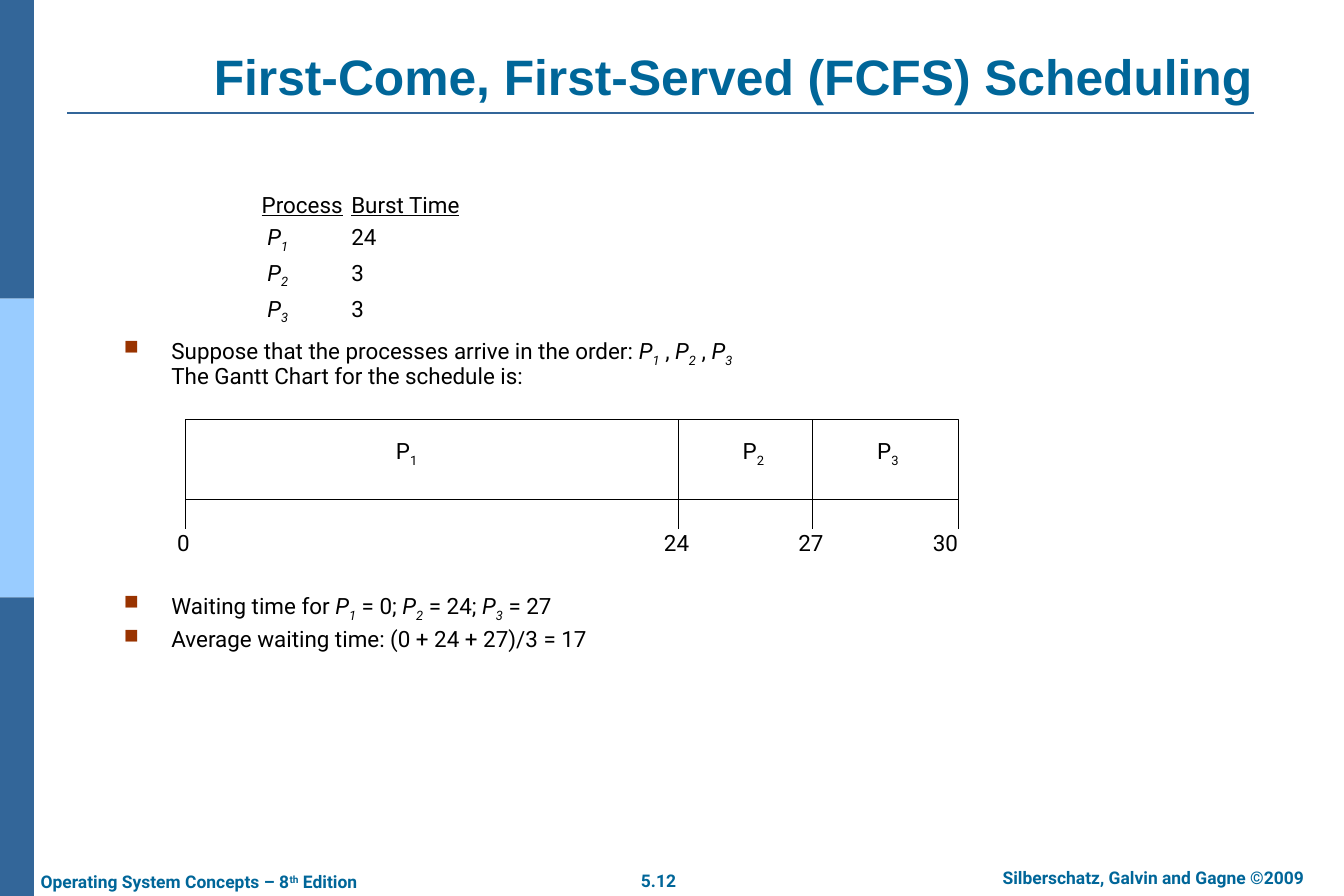
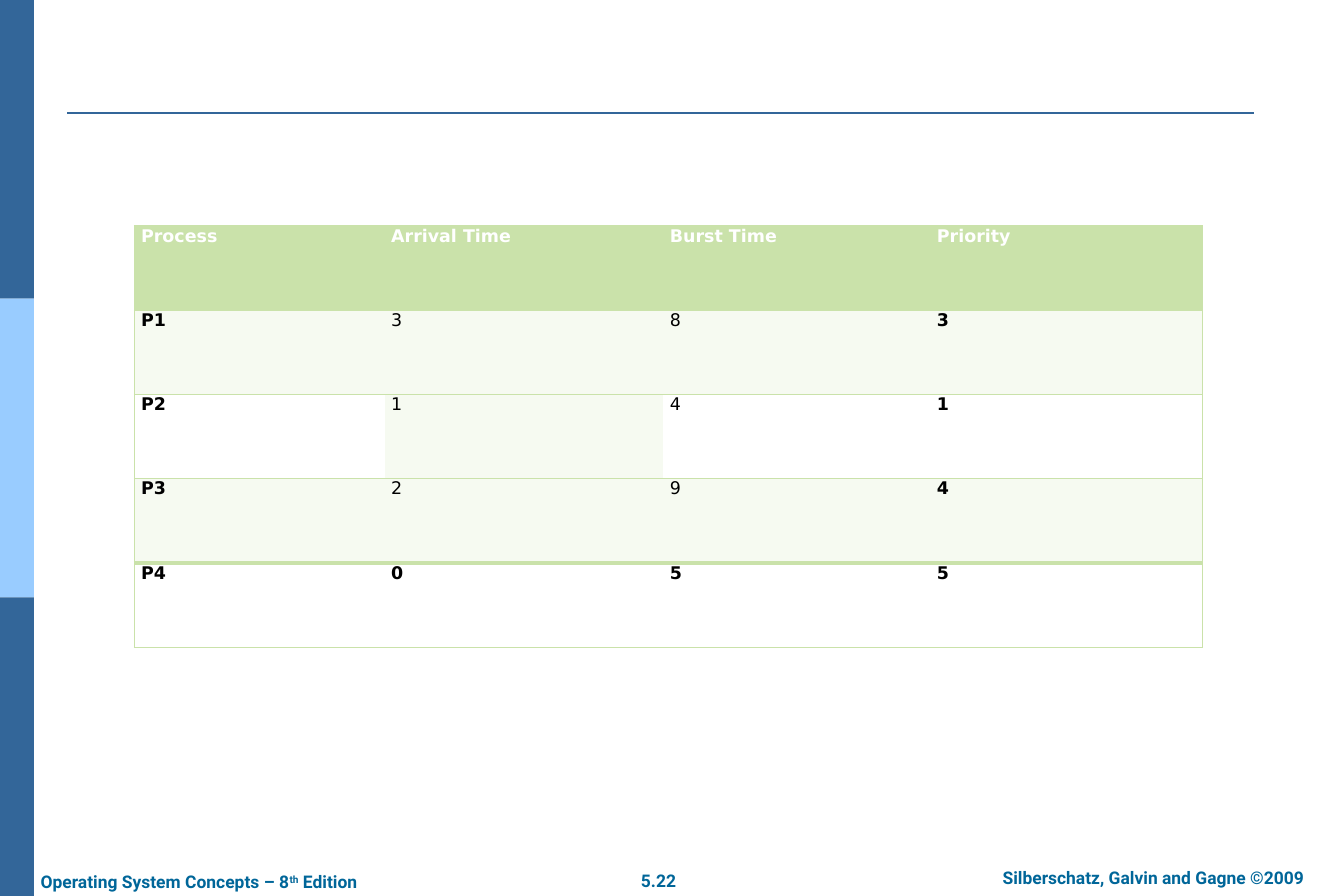
from dataclasses import dataclass
from typing import Optional, Sequence

from lxml import etree
from pptx import Presentation
from pptx.dml.color import RGBColor
from pptx.enum.shapes import MSO_CONNECTOR, MSO_SHAPE
from pptx.enum.text import MSO_ANCHOR, PP_ALIGN
from pptx.oxml.ns import qn
from pptx.util import Cm, Pt

STRAIGHT = MSO_CONNECTOR.STRAIGHT
RECTANGLE = MSO_SHAPE.RECTANGLE
TOP, MIDDLE, BOTTOM = MSO_ANCHOR.TOP, MSO_ANCHOR.MIDDLE, MSO_ANCHOR.BOTTOM
LEFT, CENTER, JUSTIFY = PP_ALIGN.LEFT, PP_ALIGN.CENTER, PP_ALIGN.JUSTIFY


@dataclass(frozen=True)
class Theme:
    heading: str = "006699"
    band: str = "336699"
    band_light: str = "99CCFF"
    bullet: str = "993300"
    black: str = "000000"
    white: str = "FFFFFF"
    table_green: str = "CAE2AA"
    table_tint: str = "F6FAF1"
    title_font: str = "Arial"
    body_font: str = "Roboto"
    table_font: str = "DejaVu Sans"
    title_size: int = 40
    body_size: int = 18
    small_size: int = 14


THEME = Theme()
SLIDE_WIDTH, SLIDE_HEIGHT = 38.1, 25.4


@dataclass(frozen=True)
class Style:
    font: str = THEME.body_font
    size: int = THEME.body_size
    color: str = THEME.black
    bold: bool = False


@dataclass(frozen=True)
class Span:
    text: str
    italic: bool = False
    underline: bool = False
    baseline: int = 0


@dataclass(frozen=True)
class Box:
    left: float
    top: float
    width: float
    height: float


@dataclass(frozen=True)
class Slot:
    """One process in the Gantt chart and the middle of its label."""
    process: int
    label_x: float


@dataclass(frozen=True)
class Mark:
    """One moment on the Gantt chart's time axis."""
    time: int
    x: float
    label_x: float


BODY = Style()
TITLE = Style(THEME.title_font, THEME.title_size, THEME.heading, True)
FOOTER = Style(size=THEME.small_size, color=THEME.heading, bold=True)

SLOTS = [Slot(1, 11.53), Slot(2, 21.36), Slot(3, 25.17)]
MARKS = [Mark(0, 5.26, 5.2), Mark(24, 19.23, 19.18),
         Mark(27, 23.04, 22.99), Mark(30, 27.18, 26.8)]
BURST_TIMES = {1: 24, 2: 3, 3: 3}

COLUMN_WIDTHS = [7.09, 7.9, 7.57, 7.72]
ROW_HEIGHT = 2.39
PROCESS_ROWS = [
    ["Process", "Arrival Time", "Burst Time", "Priority"],
    ["P1", "3", "8", "3"],
    ["P2", "1", "4", "1"],
    ["P3", "2", "9", "4"],
    ["P4", "0", "5", "5"],
]


# Text helpers
def add_spans(paragraph, spans: Sequence[Span], style: Style) -> None:
    for span in spans:
        if span.text == "\n":
            paragraph.add_line_break()
            continue
        run = paragraph.add_run()
        run.text = span.text
        font = run.font
        font.name, font.size, font.bold = style.font, Pt(style.size), style.bold
        font.color.rgb = RGBColor.from_string(style.color)
        font.italic, font.underline = span.italic, span.underline
        if span.baseline:
            run._r.get_or_add_rPr().set("baseline", str(span.baseline))


def set_frame(frame, inset_x: float, inset_y: float, anchor, wrap: bool) -> None:
    frame.margin_left = frame.margin_right = Cm(inset_x)
    frame.margin_top = frame.margin_bottom = Cm(inset_y)
    frame.vertical_anchor, frame.word_wrap = anchor, wrap


def add_text(slide, box: Box, paragraphs: Sequence[Sequence[Span]], style: Style = BODY,
             align=LEFT, inset: tuple[float, float] = (0, 0), anchor=TOP,
             wrap: bool = True) -> list:
    shape = slide.shapes.add_textbox(Cm(box.left), Cm(box.top), Cm(box.width), Cm(box.height))
    frame = shape.text_frame
    set_frame(frame, *inset, anchor, wrap)
    for index, spans in enumerate(paragraphs):
        paragraph = frame.add_paragraph() if index else frame.paragraphs[0]
        paragraph.alignment = align
        add_spans(paragraph, spans, style)
    return list(frame.paragraphs)


def process_name(number: int, italic: bool = True) -> list[Span]:
    return [Span("P", italic), Span(str(number), italic, baseline=-25000)]


def add_bullets(slide, box: Box, paragraphs: Sequence[Sequence[Span]]) -> None:
    for index, paragraph in enumerate(add_text(slide, box, paragraphs)):
        paragraph.line_spacing = 0.9
        paragraph.space_before = Pt(6.3 if index else 0)
        properties = paragraph._p.get_or_add_pPr()
        properties.set("marL", str(Cm(1.35)))
        properties.set("indent", str(-Cm(1.35)))
        color = etree.SubElement(properties, qn("a:buClr"))
        etree.SubElement(color, qn("a:srgbClr"), val=THEME.bullet)
        etree.SubElement(properties, qn("a:buSzPct"), val="90000")
        etree.SubElement(properties, qn("a:buChar"), char="■")


# Shape helpers
def add_rectangle(slide, box: Box, fill: str, line: Optional[str] = None) -> None:
    shape = slide.shapes.add_shape(RECTANGLE, Cm(box.left), Cm(box.top),
                                   Cm(box.width), Cm(box.height))
    shape.shadow.inherit = False
    shape.fill.solid()
    shape.fill.fore_color.rgb = RGBColor.from_string(fill)
    if line:
        shape.line.color.rgb = RGBColor.from_string(line)
        shape.line.width = Pt(0.75)
    else:
        shape.line.fill.background()


def add_line(slide, x1: float, y1: float, x2: float, y2: float,
             color: str = THEME.black, width: float = 0.75) -> None:
    connector = slide.shapes.add_connector(STRAIGHT, Cm(x1), Cm(y1), Cm(x2), Cm(y2))
    connector.line.color.rgb = RGBColor.from_string(color)
    connector.line.width = Pt(width)
    etree.SubElement(connector.element.spPr, qn("a:effectLst"))


# Shared frame: drawn once, then handed to the layout
def build_layout(slide, layout) -> None:
    for placeholder in list(layout.placeholders):
        if placeholder.placeholder_format.idx:
            layout.shapes.element.remove(placeholder.element)
    band_height = SLIDE_HEIGHT / 3
    for index, color in enumerate([THEME.band, THEME.band_light, THEME.band]):
        add_rectangle(slide, Box(0, index * band_height, 0.96, band_height), color)
    add_line(slide, 1.9, 3.2, 35.56, 3.2, THEME.band, 1.5)
    add_text(slide, Box(27.05, 24.41, 11.3, 0.97),
             [[Span("Silberschatz, Galvin and Gagne ©2009")]],
             FOOTER, CENTER, (0.36, 0.18))
    add_text(slide, Box(0.79, 24.51, 10.24, 0.97),
             [[Span("Operating System Concepts – 8"), Span("th", baseline=30000),
               Span(" Edition")]], FOOTER, LEFT, (0.36, 0.18), wrap=False)
    for shape in list(slide.shapes):
        if not shape.is_placeholder:
            layout.shapes.element.append(shape.element)


def add_page_number(slide, number: str) -> None:
    add_text(slide, Box(17.78, 24.49, 1.78, 0.97), [[Span(number)]],
             FOOTER, CENTER, (0.36, 0.18), wrap=False)


def set_title(slide, text: str) -> None:
    title = slide.shapes.title
    title.left, title.top, title.width, title.height = Cm(4.11), Cm(1.47), Cm(33.35), Cm(1.7)
    set_frame(title.text_frame, 0.36, 0.18, BOTTOM, True)
    paragraph = title.text_frame.paragraphs[0]
    paragraph.alignment = CENTER
    add_spans(paragraph, [Span(text)], TITLE)


# First-come, first-served slide
def add_burst_times(slide) -> None:
    rows = [[Span("Process", underline=True), Span("\t"), Span("Burst Time", underline=True)]]
    rows += [[Span(" "), *process_name(number), Span(f"\t{burst}")]
             for number, burst in BURST_TIMES.items()]
    for paragraph in add_text(slide, Box(7.42, 5.16, 10, 4.1), rows):
        paragraph.line_spacing = Pt(28.8)
        tabs = etree.SubElement(paragraph._p.get_or_add_pPr(), qn("a:tabLst"))
        etree.SubElement(tabs, qn("a:tab"), pos=str(Cm(2.54)), algn="l")


def add_gantt_chart(slide) -> None:
    top, bottom, tick_end = 11.89, 14.15, 14.99
    left, right = MARKS[0].x, MARKS[-1].x
    label_width, label_height = 1.2, 1.02

    def add_label(x: float, y: float, spans: Sequence[Span]) -> None:
        add_text(slide, Box(x - label_width / 2, y, label_width, label_height), [spans],
                 align=CENTER, anchor=MIDDLE, wrap=False)

    add_rectangle(slide, Box(left, top, right - left, bottom - top), THEME.white, THEME.black)
    for slot in SLOTS:
        add_label(slot.label_x, 12.32, process_name(slot.process, italic=False))
    for mark in MARKS[1:-1]:
        add_line(slide, mark.x, top, mark.x, bottom)
    for mark in MARKS:
        add_line(slide, mark.x, bottom, mark.x, tick_end)
        add_label(mark.label_x, 14.86, [Span(str(mark.time))])


def build_fcfs_slide(slide) -> None:
    set_title(slide, "First-Come, First-Served (FCFS) Scheduling")
    add_burst_times(slide)
    first, second, third = (process_name(number) for number in BURST_TIMES)
    add_bullets(slide, Box(3.51, 9.58, 30.8, 1.7), [
        [Span("Suppose that the processes arrive in the order: "), *first, Span(" , "),
         *second, Span(" , "), *third, Span("\n"),
         Span("The Gantt Chart for the schedule is:")]])
    add_gantt_chart(slide)
    add_bullets(slide, Box(3.51, 16.81, 30.8, 1.8), [
        [Span("Waiting time for "), *first, Span(" = 0; "), *second, Span(" = 24; "),
         *third, Span(" = 27")],
        [Span("Average waiting time: (0 + 24 + 27)/3 = 17")]])


# Process table slide
def set_border(cell, side: str, width: float) -> None:
    properties = cell._tc.get_or_add_tcPr()
    line = etree.SubElement(properties, qn(f"a:ln{side}"), w=str(Pt(width)))
    if width:
        fill = etree.SubElement(line, qn("a:solidFill"))
        etree.SubElement(fill, qn("a:srgbClr"), val=THEME.table_green)
    else:
        etree.SubElement(line, qn("a:noFill"))


def cell_fill(row: int, column: int) -> str:
    if row == 0:
        return THEME.table_green
    return THEME.table_tint if row % 2 or (row, column) == (2, 1) else THEME.white


def build_table_slide(slide) -> None:
    title = slide.shapes.title
    slide.shapes.element.remove(title.element)
    last_row, last_column = len(PROCESS_ROWS) - 1, len(COLUMN_WIDTHS) - 1
    table = slide.shapes.add_table(
        last_row + 1, last_column + 1, Cm(3.81), Cm(6.4),
        Cm(sum(COLUMN_WIDTHS)), Cm(ROW_HEIGHT * len(PROCESS_ROWS))).table
    table.horz_banding = False
    for column, width in zip(table.columns, COLUMN_WIDTHS):
        column.width = Cm(width)
    for row, texts in enumerate(PROCESS_ROWS):
        table.rows[row].height = Cm(ROW_HEIGHT)
        for column, text in enumerate(texts):
            cell = table.cell(row, column)
            cell.margin_left = cell.margin_right = Cm(0.19)
            cell.margin_top = cell.margin_bottom = 0
            widths = {"L": int(column == 0), "R": int(column == last_column),
                      "T": 4 if row == last_row else 1,
                      "B": 4 if row == last_row - 1 else 1}
            for side, width in widths.items():
                set_border(cell, side, width)
            cell.fill.solid()
            cell.fill.fore_color.rgb = RGBColor.from_string(cell_fill(row, column))
            bold = row in (0, last_row) or column in (0, last_column)
            color = THEME.black if row else THEME.white
            paragraph = cell.text_frame.paragraphs[0]
            paragraph.alignment = JUSTIFY
            add_spans(paragraph, [Span(text)],
                      Style(THEME.table_font, THEME.small_size, color, bold))


def main() -> None:
    presentation = Presentation()
    presentation.slide_width, presentation.slide_height = Cm(SLIDE_WIDTH), Cm(SLIDE_HEIGHT)
    layout = presentation.slide_layouts[5]
    pages = [("5.12", build_fcfs_slide), ("5.22", build_table_slide)]
    for index, (number, build) in enumerate(pages):
        slide = presentation.slides.add_slide(layout)
        if index == 0:
            build_layout(slide, layout)
        add_page_number(slide, number)
        build(slide)
    presentation.save("out.pptx")


if __name__ == "__main__":
    main()
